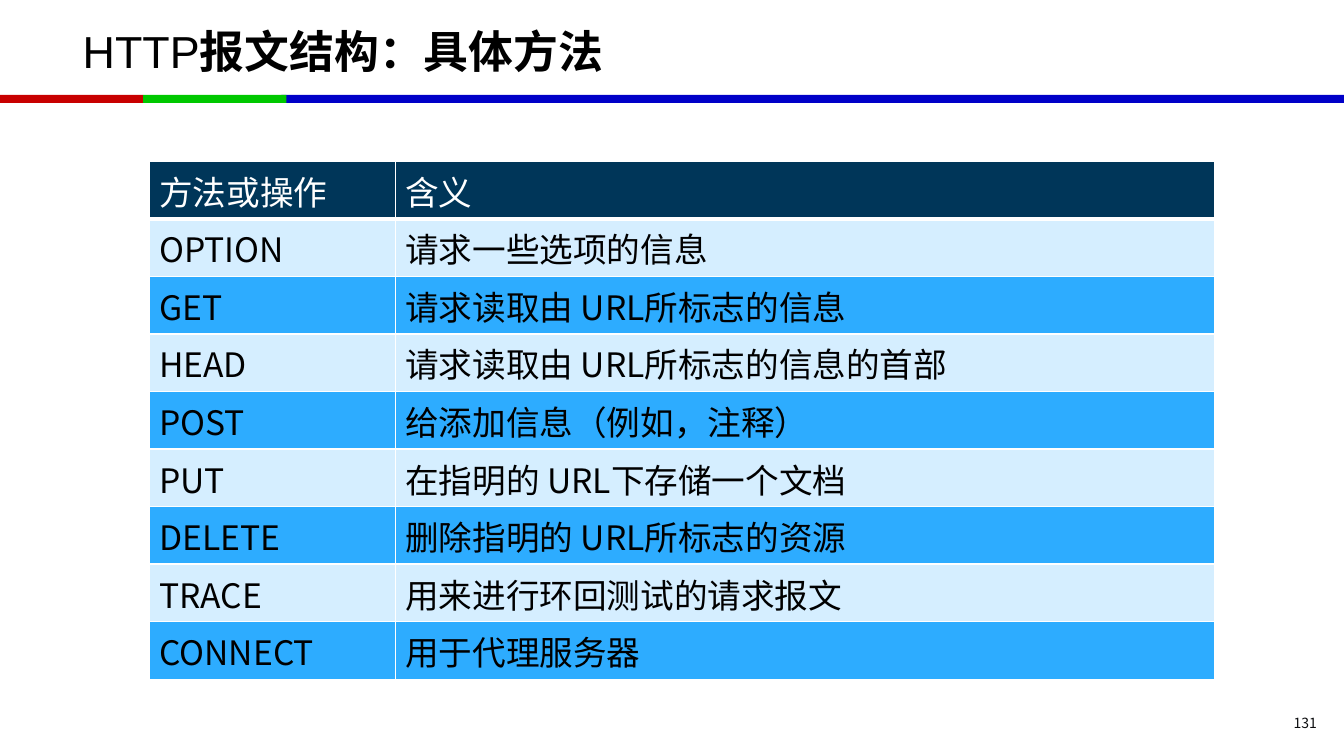
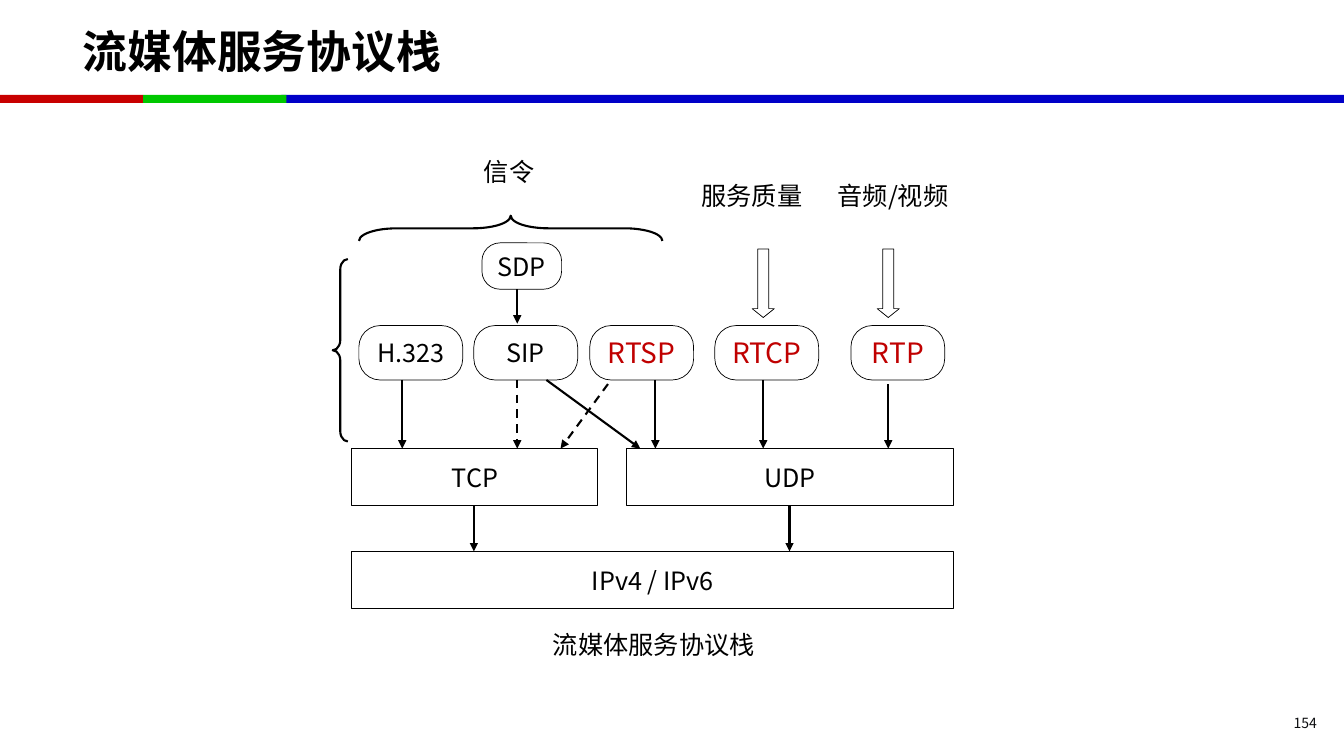
from dataclasses import dataclass

import lxml.etree
import pptx
import pptx.dml.color
import pptx.enum.dml
import pptx.enum.shapes
import pptx.enum.text
import pptx.oxml.ns
import pptx.util

Inches = pptx.util.Inches
qn = pptx.oxml.ns.qn
Kind = pptx.enum.shapes.MSO_SHAPE
Align = pptx.enum.text.PP_ALIGN
Anchor = pptx.enum.text.MSO_ANCHOR


@dataclass(frozen=True)
class Theme:
    latin: str = "Arial"
    font: str = "Noto Sans CJK SC"
    ink: str = "000000"
    paper: str = "FFFFFF"
    accent: str = "C00000"
    faint: str = "0C0D0F"
    head: str = "003659"
    light: str = "D5EEFF"
    vivid: str = "2DACFF"
    red: str = "C80000"
    green: str = "00C800"
    blue: str = "0000C8"
    title: int = 32
    cell: int = 24
    key: int = 20
    body: int = 18
    small: int = 10


def rgb(code):
    return pptx.dml.color.RGBColor.from_string(code)


def box(*sides):
    return [Inches(side) for side in sides]


def write(frame, text, size, color, latin, asian, bold=False,
          align=Align.LEFT, anchor=Anchor.MIDDLE, wrap=True):
    """Fill a frame; text is a string or a list of (string, bold) runs."""
    frame.word_wrap = wrap
    frame.vertical_anchor = anchor
    para = frame.paragraphs[0]
    para.alignment = align
    runs = [(text, bold)] if isinstance(text, str) else text
    for part, heavy in runs:
        run = para.add_run()
        run.text = part
        font = run.font
        font.size = pptx.util.Pt(size)
        font.bold = heavy
        font.color.rgb = rgb(color)
        font.name = latin
        props = run._r.get_or_add_rPr()
        lxml.etree.SubElement(props, qn("a:ea"), typeface=asian)


def edge(cell, color, **widths):
    """Draw cell borders; widths are points keyed by L, R, T and B."""
    props = cell._tc.get_or_add_tcPr()
    for side, width in widths.items():
        line = lxml.etree.SubElement(
            props, qn("a:ln" + side), w=str(pptx.util.Pt(width)))
        fill = lxml.etree.SubElement(line, qn("a:solidFill"))
        lxml.etree.SubElement(fill, qn("a:srgbClr"), val=color)


class Deck:
    def __init__(self, theme):
        self.theme = theme
        self.file = pptx.Presentation()
        self.file.slide_width = Inches(13.33)
        self.file.slide_height = Inches(7.5)
        self.slide = None

    def page(self, title, number):
        """Start a slide with its title, colour band and page number."""
        look = self.theme
        self.slide = self.file.slides.add_slide(self.file.slide_layouts[5])
        for left, width, color in ((2.79, 10.54, look.blue),
                                   (0, 1.42, look.red),
                                   (1.42, 1.42, look.green)):
            self.shape(Kind.RECTANGLE, (left, 0.94, width, 0.08), fill=color)
        head = self.slide.shapes.title
        head.left, head.top, head.width, head.height = box(
            0.72, 0.08, 11.88, 0.84)
        head.text_frame.auto_size = pptx.enum.text.MSO_AUTO_SIZE.NONE
        write(head.text_frame, title, look.title, look.ink,
              look.latin, look.font, bold=True)
        self.label(str(number), (11.86, 7.06, 1.3, 0.23), size=look.small,
                   color=look.faint, align=Align.RIGHT)

    def text(self, frame, text, size=None, color=None, **style):
        look = self.theme
        write(frame, text, size or look.body, color or look.ink,
              look.font, look.font, **style)

    def label(self, text, place, **style):
        area = self.slide.shapes.add_textbox(*box(*place))
        self.text(area.text_frame, text, **style)

    def shape(self, kind, place, fill=None, line=None, adjust=(), turn=0):
        item = self.slide.shapes.add_shape(kind, *box(*place))
        item.shadow.inherit = False
        item.rotation = turn
        for spot, value in enumerate(adjust):
            item.adjustments[spot] = value
        if fill:
            item.fill.solid()
            item.fill.fore_color.rgb = rgb(fill)
        else:
            item.fill.background()
        if line:
            item.line.color.rgb = rgb(self.theme.ink)
            item.line.width = pptx.util.Pt(line)
        else:
            item.line.fill.background()
        return item

    def block(self, text, place):
        item = self.shape(Kind.RECTANGLE, place, self.theme.paper, 0.75)
        self.text(item.text_frame, text, align=Align.CENTER, wrap=False)

    def node(self, text, place, **style):
        item = self.shape(Kind.ROUNDED_RECTANGLE, place, line=0.5,
                          adjust=[0.39])
        self.text(item.text_frame, text, align=Align.CENTER, wrap=False,
                  **style)

    def arrow(self, start, end, dash=False):
        link = self.slide.shapes.add_connector(
            pptx.enum.shapes.MSO_CONNECTOR.STRAIGHT, *box(*start, *end))
        link.line.color.rgb = rgb(self.theme.ink)
        link.line.width = pptx.util.Pt(1.5)
        if dash:
            link.line.dash_style = pptx.enum.dml.MSO_LINE.DASH
        line = link.line._get_or_add_ln()
        lxml.etree.SubElement(line, qn("a:tailEnd"), type="triangle")
        lxml.etree.SubElement(link.element.spPr, qn("a:effectLst"))

    def table(self, rows, place, widths):
        look = self.theme
        grid = self.slide.shapes.add_table(
            len(rows), len(widths), *box(*place)).table
        for col, width in zip(grid.columns, widths):
            col.width = Inches(width)
        for i, row in enumerate(rows):
            grid.rows[i].height = Inches(place[3] / len(rows))
            fill = (look.vivid, look.light)[i % 2] if i else look.head
            for j, text in enumerate(row):
                cell = grid.cell(i, j)
                edge(cell, look.paper, L=1, R=1, T=3 if i == 1 else 1,
                     B=1 if i else 3)
                cell.fill.solid()
                cell.fill.fore_color.rgb = rgb(fill)
                self.text(cell.text_frame, text, size=look.cell,
                          color=look.ink if i else look.paper)
                cell.vertical_anchor = Anchor.TOP


def methods(deck):
    deck.page([("HTTP", False), ("报文结构：具体方法", True)], 131)
    deck.table([
        ("方法或操作", "含义"),
        ("OPTION", "请求一些选项的信息"),
        ("GET", "请求读取由 URL所标志的信息"),
        ("HEAD", "请求读取由 URL所标志的信息的首部"),
        ("POST", "给添加信息（例如，注释）"),
        ("PUT", "在指明的 URL下存储一个文档"),
        ("DELETE", "删除指明的 URL所标志的资源"),
        ("TRACE", "用来进行环回测试的请求报文"),
        ("CONNECT", "用于代理服务器"),
    ], (1.48, 1.6, 10.57, 5.14), (2.44, 8.13))


def stack(deck):
    look = deck.theme
    deck.page("流媒体服务协议栈", 154)

    for text, place in (("TCP", (3.49, 4.45, 2.44, 0.57)),
                        ("UDP", (6.21, 4.45, 3.25, 0.57)),
                        ("IPv4 / IPv6", (3.49, 5.47, 5.97, 0.57))):
        deck.block(text, place)

    deck.node("SDP", (4.78, 2.41, 0.79, 0.46))
    for text, left, width in (("H.323", 3.56, 1.03), ("SIP", 4.7, 1.03)):
        deck.node(text, (left, 3.23, width, 0.54))
    for text, left, width in (("RTSP", 5.85, 1.03), ("RTCP", 7.09, 1.03),
                              ("RTP", 8.44, 0.93)):
        deck.node(text, (left, 3.23, width, 0.54),
                  size=look.key, color=look.accent)

    for x, top, end in ((5.13, 2.87, 3.21), (3.99, 3.77, 4.45),
                        (6.5, 3.77, 4.45), (7.57, 3.77, 4.45),
                        (8.81, 3.81, 4.45), (4.7, 5.02, 5.47),
                        (7.83, 5.02, 5.47)):
        deck.arrow((x, top), (x, end))
    deck.arrow((5.42, 3.77), (6.35, 4.45))
    deck.arrow((5.13, 3.77), (5.13, 4.45), dash=True)
    deck.arrow((6.03, 3.81), (5.56, 4.45), dash=True)

    deck.shape(Kind.LEFT_BRACE, (4.94, 0.76, 0.25, 3.01), line=1.5,
               adjust=(1.49, 0.5), turn=90)
    deck.shape(Kind.LEFT_BRACE, (3.3, 2.57, 0.15, 1.81), line=1.5,
               adjust=(0.67, 0.5))
    for x in (7.57, 8.81):
        deck.shape(Kind.DOWN_ARROW, (x - 0.11, 2.47, 0.22, 0.68), line=0.5,
                   adjust=(0.5, 0.4))

    deck.label("信令", (4.7, 1.5, 0.82, 0.4))
    deck.label("服务质量", (6.86, 1.74, 1.41, 0.4))
    deck.label("音频/视频", (8.21, 1.74, 1.54, 0.4))
    deck.label("流媒体服务协议栈", (5.22, 6.19, 2.53, 0.4),
               align=Align.CENTER)


def main():
    deck = Deck(Theme())
    methods(deck)
    stack(deck)
    deck.file.save("out.pptx")


if __name__ == "__main__":
    main()
